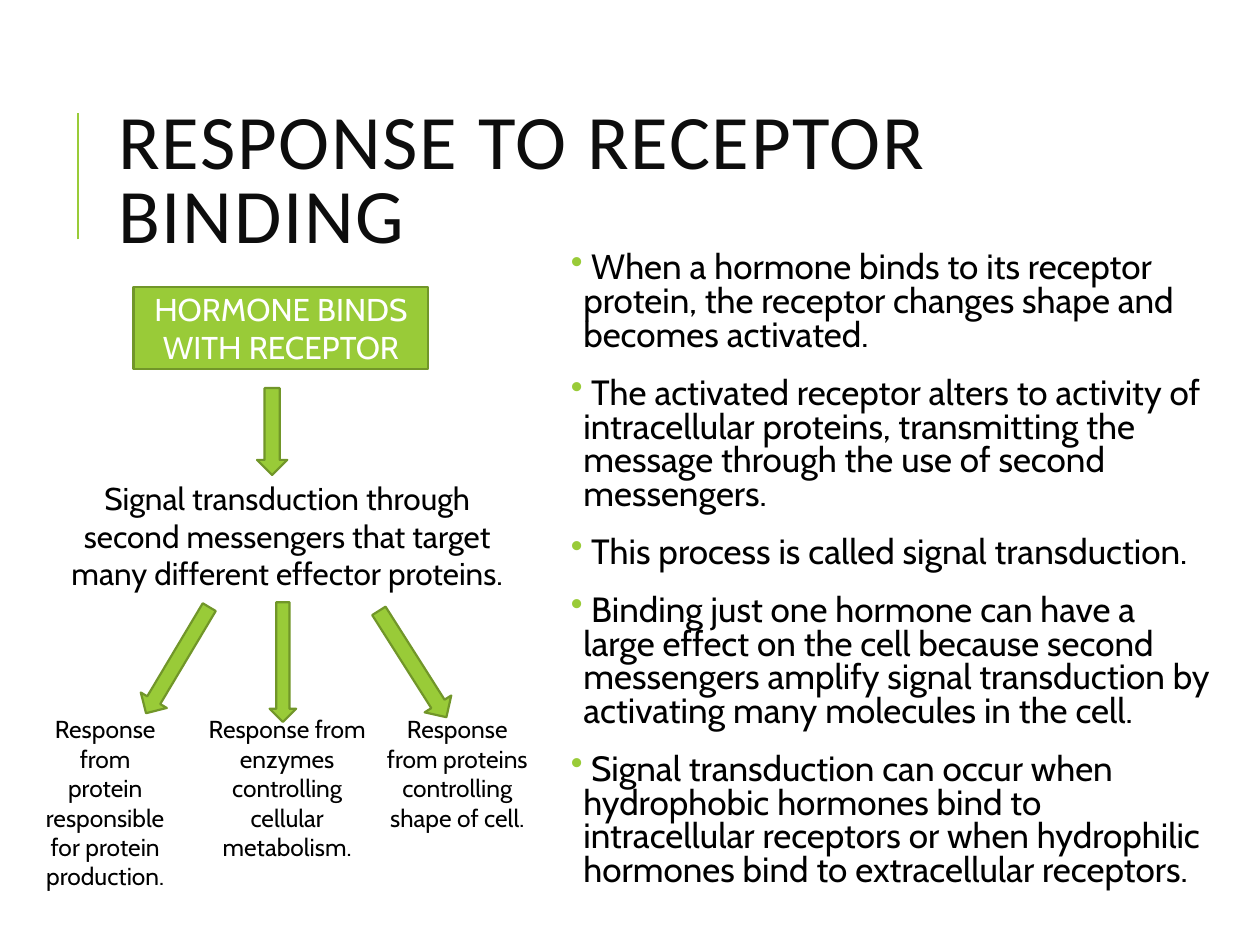
import pptx
import pptx.util
import pptx.dml.color
import pptx.enum.shapes
import pptx.enum.text
import pptx.oxml.ns
import lxml.etree

Inches, Pt = pptx.util.Inches, pptx.util.Pt
RGBColor = pptx.dml.color.RGBColor
SHAPES = pptx.enum.shapes.MSO_SHAPE
ALIGN = pptx.enum.text.PP_ALIGN
ANCHOR = pptx.enum.text.MSO_ANCHOR
qn = pptx.oxml.ns.qn

GREEN = RGBColor(0x99, 0xCB, 0x38)
DARK_GREEN = RGBColor(0x71, 0x96, 0x29)
INK = RGBColor(0x0D, 0x0D, 0x0D)
BLACK = RGBColor(0, 0, 0)
WHITE = RGBColor(0xFF, 0xFF, 0xFF)


def write_text(shape, *texts, size=18, font="Cabin", color=BLACK, align=ALIGN.CENTER,
               anchor=ANCHOR.TOP, line_spacing=None, letter_spacing=None,
               inset=None, bullet=None):
    frame = shape.text_frame
    frame.word_wrap = True
    frame.vertical_anchor = anchor
    if inset is not None:
        frame.margin_left = frame.margin_right = Inches(inset)
        frame.margin_top = frame.margin_bottom = Inches(inset)
    for index, text in enumerate(texts):
        para = frame.add_paragraph() if index else frame.paragraphs[0]
        para.alignment = align
        if line_spacing:
            para.line_spacing = line_spacing
        if bullet:
            para.space_before = Pt(12 if index else 0)
            para.space_after = Pt(2)
            properties = para._p.get_or_add_pPr()
            properties.set("marL", str(Inches(0.1)))
            properties.set("indent", str(Inches(-0.1)))
            bullet_color = lxml.etree.SubElement(properties, qn("a:buClr"))
            lxml.etree.SubElement(bullet_color, qn("a:srgbClr"), val=str(GREEN))
            lxml.etree.SubElement(properties, qn("a:buChar"), char=bullet)
        span = para.add_run()
        span.text = text
        span.font.size = Pt(size)
        span.font.name = font
        span.font.color.rgb = color
        if letter_spacing:
            span._r.get_or_add_rPr().set("spc", str(letter_spacing * 100))


def add_green_shape(kind, left, top, width, height, rotation=0):
    shape = page.shapes.add_shape(kind, Inches(left), Inches(top),
                                  Inches(width), Inches(height))
    shape.rotation = rotation
    shape.shadow.inherit = False
    shape.fill.solid()
    shape.fill.fore_color.rgb = GREEN
    shape.line.color.rgb = DARK_GREEN
    shape.line.width = Pt(1.25)
    return shape


deck = pptx.Presentation()
deck.slide_width, deck.slide_height = Inches(10), Inches(7.5)
page = deck.slides.add_slide(deck.slide_layouts[6])

# Accent line beside the title
accent = page.shapes.add_connector(pptx.enum.shapes.MSO_CONNECTOR.STRAIGHT,
                                   Inches(0.62), Inches(1.9), Inches(0.62), Inches(0.9))
accent.line.color.rgb = GREEN
accent.line.width = Pt(1.5)
lxml.etree.SubElement(accent._element.spPr, qn("a:effectLst"))

# Title
title = page.shapes.add_textbox(Inches(0.84), Inches(0.64), Inches(7.97), Inches(1.64))
write_text(title, "RESPONSE TO RECEPTOR BINDING", size=44, font="Calibri", color=INK,
           align=ALIGN.LEFT, anchor=ANCHOR.MIDDLE, line_spacing=0.8, letter_spacing=1)

# Explanation on the right
explanation = page.shapes.add_textbox(Inches(4.48), Inches(1.96), Inches(5.21), Inches(5.24))
write_text(
    explanation,
    " When a hormone binds to its receptor protein, the receptor changes shape and "
    "becomes activated.",
    " The activated receptor alters to activity of intracellular proteins, transmitting "
    "the message through the use of second messengers.",
    " This process is called signal transduction.",
    " Binding just one hormone can have a large effect on the cell because second "
    "messengers amplify signal transduction by activating many molecules in the cell.",
    " Signal transduction can occur when hydrophobic hormones bind to intracellular "
    "receptors or when hydrophilic hormones bind to extracellular receptors.",
    size=20, align=ALIGN.LEFT, line_spacing=0.8, inset=0.05, bullet="•")

# Start of the flow
start = add_green_shape(SHAPES.RECTANGLE, 1.06, 2.28, 2.34, 0.65)
write_text(start, "HORMONE BINDS WITH RECEPTOR", color=WHITE, anchor=ANCHOR.MIDDLE)

# Flow captions: left, top, width, height, size, text
captions = [
    (0.41, 3.75, 3.74, 1.01, 18, "Signal transduction through second messengers that "
                                 "target many different effector proteins."),
    (0.23, 5.62, 1.21, 1.28, 14, "Response from protein responsible for protein production."),
    (1.51, 5.62, 1.54, 1.28, 14, "Response from enzymes controlling cellular metabolism."),
    (2.95, 5.62, 1.36, 1.04, 14, "Response from proteins controlling shape of cell."),
]
for left, top, width, height, size, text in captions:
    caption = page.shapes.add_textbox(Inches(left), Inches(top), Inches(width), Inches(height))
    write_text(caption, text, size=size)

# Flow arrows: left, top, width, height, rotation
arrows = [
    (2.04, 3.08, 0.24, 0.69, 0),
    (1.29, 4.75, 0.24, 0.98, 30.8),
    (3.15, 4.77, 0.25, 1, 327.6),
    (2.14, 4.78, 0.21, 0.95, 0),
]
for arrow in arrows:
    add_green_shape(SHAPES.DOWN_ARROW, *arrow)

deck.save("out.pptx")
